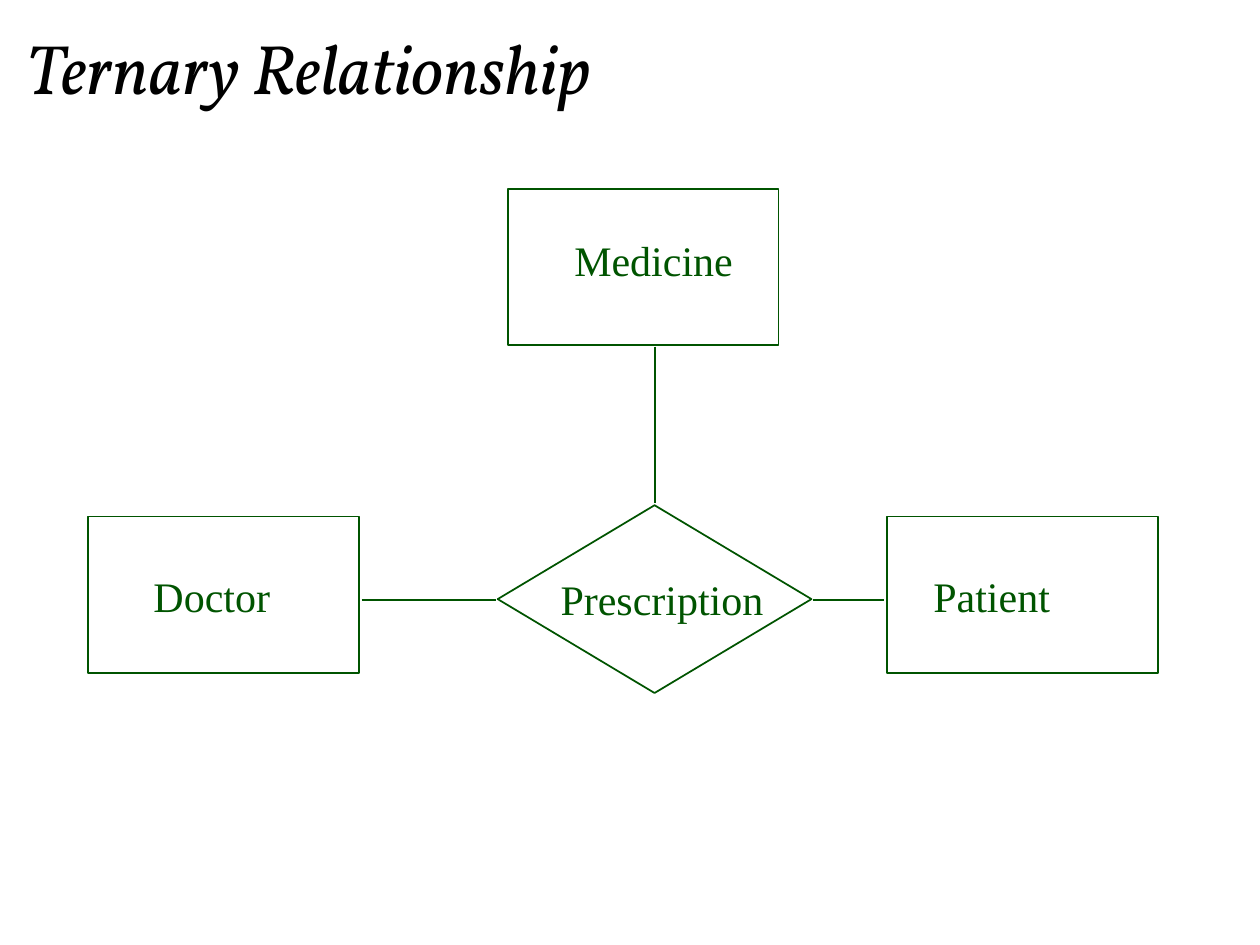
"""Build a slide with an entity-relationship diagram of a ternary relationship."""
from pptx import Presentation
from pptx.dml.color import RGBColor
from pptx.enum.shapes import MSO_CONNECTOR, MSO_SHAPE
from pptx.enum.text import MSO_ANCHOR, MSO_AUTO_SIZE, PP_ALIGN
from pptx.oxml.ns import qn
from pptx.util import Inches, Pt
from lxml import etree

GREEN = "005400"


def set_color(color_format, value):
    color_format.rgb = RGBColor.from_string(value)


def write(frame, text, font_name, size, color):
    frame.text = text
    paragraph = frame.paragraphs[0]
    paragraph.alignment = PP_ALIGN.LEFT
    font = paragraph.runs[0].font
    font.name = font_name
    font.size = Pt(size)
    set_color(font.color, color)
    return font


deck = Presentation()
deck.slide_width, deck.slide_height = Inches(10), Inches(7.5)
page = deck.slides.add_slide(deck.slide_layouts[5])

title = page.shapes.title
title.left, title.top = Inches(0.21), Inches(0.25)
title.width, title.height = Inches(9.38), Inches(0.56)
title.text_frame.margin_left = 0
title.text_frame.vertical_anchor = MSO_ANCHOR.MIDDLE
title.text_frame.auto_size = MSO_AUTO_SIZE.NONE
title_font = write(title.text_frame, "Ternary Relationship", "Vollkorn", 40, "000000")
title_font.italic = True

entity_size = (2.15, 1.24)
nodes = [
    (MSO_SHAPE.RECTANGLE, 0.7, 4.1, *entity_size),
    (MSO_SHAPE.RECTANGLE, 7.04, 4.1, *entity_size),
    (MSO_SHAPE.RECTANGLE, 4.03, 1.5, *entity_size),
    (MSO_SHAPE.DIAMOND, 3.95, 4.01, 2.49, 1.49),
]
for kind, *bounds in nodes:
    node = page.shapes.add_shape(kind, *map(Inches, bounds))
    node.shadow.inherit = False
    node.fill.background()
    set_color(node.line.color, GREEN)
    node.line.width = Pt(1)

links = [
    (5.2, 2.75, 5.2, 3.99),
    (2.87, 4.76, 3.94, 4.76),
    (6.45, 4.76, 7.02, 4.76),
]
for ends in links:
    link = page.shapes.add_connector(MSO_CONNECTOR.STRAIGHT, *map(Inches, ends))
    set_color(link.line.color, GREEN)
    link.line.width = Pt(1)
    etree.SubElement(link._element.spPr, qn("a:effectLst"))

labels = [
    ("Doctor", 1.12, 4.48, 1.14),
    ("Medicine", 4.46, 1.81, 1.46),
    ("Patient", 7.31, 4.48, 1.14),
    ("Prescription", 4.35, 4.5, 1.81),
]
for text, left, top, width in labels:
    box = page.shapes.add_textbox(Inches(left), Inches(top), Inches(width), Inches(0.5))
    box.text_frame.word_wrap = False
    box.text_frame.auto_size = MSO_AUTO_SIZE.SHAPE_TO_FIT_TEXT
    write(box.text_frame, text, "Times New Roman", 24, GREEN)

deck.save("out.pptx")
